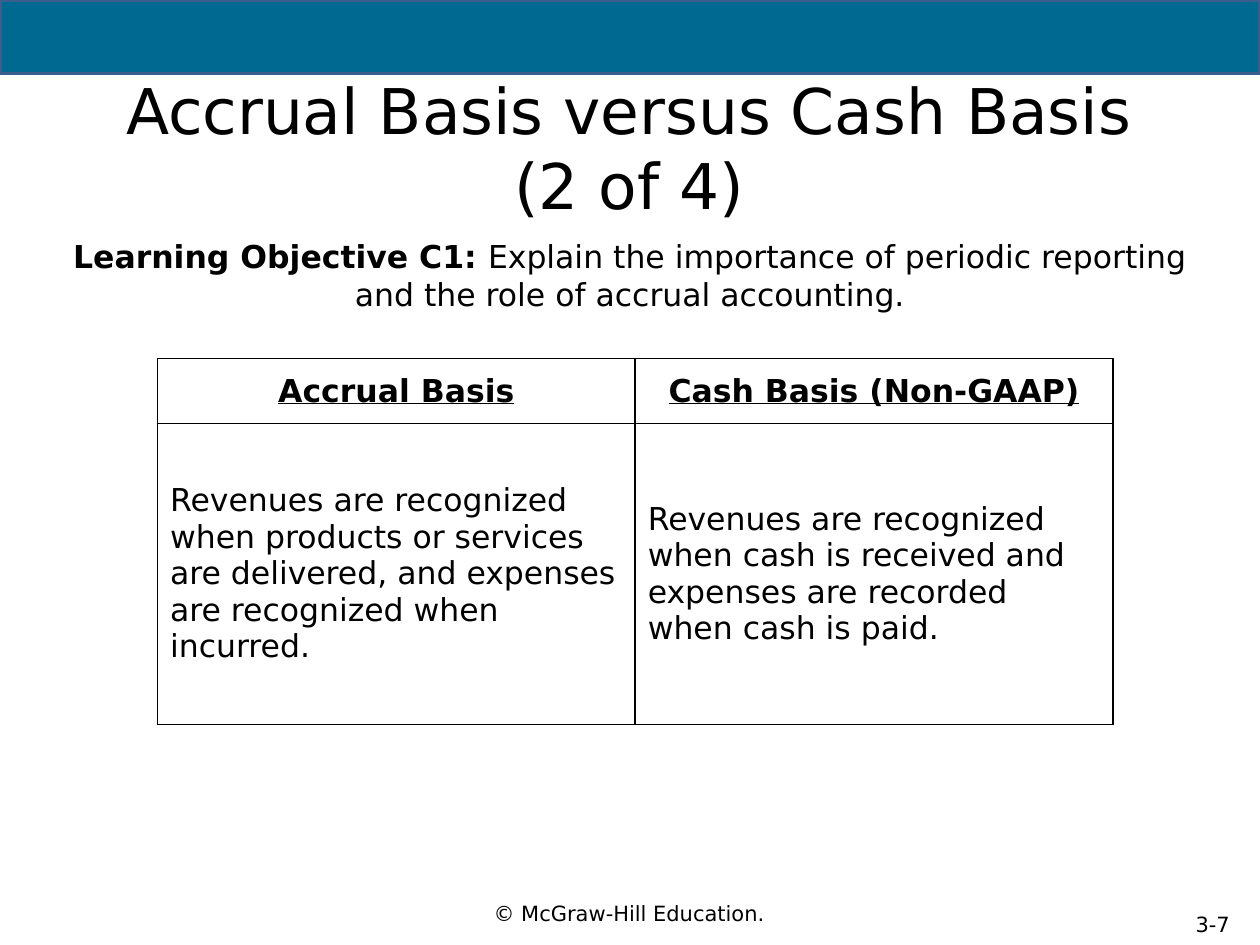
import pptx
import pptx.dml.color
import pptx.enum.shapes
import pptx.enum.text
import pptx.oxml
import pptx.oxml.ns
import pptx.util

Pt = pptx.util.Pt
ALIGN = pptx.enum.text.PP_ALIGN
MIDDLE = pptx.enum.text.MSO_ANCHOR.MIDDLE
TEAL = pptx.dml.color.RGBColor(0x00, 0x69, 0x91)
BLUE = pptx.dml.color.RGBColor(0x3A, 0x5F, 0x8C)
BLACK = pptx.dml.color.RGBColor(0, 0, 0)
FONT = "DejaVu Sans"


def add_span(para, text, size, bold=False, underline=False):
    span = para.add_run()
    span.text = text
    span.font.name = FONT
    span.font.size = Pt(size)
    span.font.bold = bold
    span.font.underline = underline
    span.font.color.rgb = BLACK


def place(box, left, top, width, height, anchor=MIDDLE):
    """Position a text box, set its frame, and return its centred first paragraph."""
    box.left, box.top, box.width, box.height = Pt(left), Pt(top), Pt(width), Pt(height)
    frame = box.text_frame
    frame.word_wrap = True
    frame.auto_size = pptx.enum.text.MSO_AUTO_SIZE.NONE
    frame.vertical_anchor = anchor
    para = frame.paragraphs[0]
    para.alignment = ALIGN.CENTER
    para.space_before = Pt(0)
    return para


deck = pptx.Presentation()
deck.slide_width, deck.slide_height = Pt(720), Pt(540)
page = deck.slides.add_slide(deck.slide_layouts[1])

# Top band
band = page.shapes.add_shape(
    pptx.enum.shapes.MSO_SHAPE.RECTANGLE, Pt(0), Pt(0), Pt(720), Pt(42))
band.shadow.inherit = False
band.fill.solid()
band.fill.fore_color.rgb = TEAL
band.line.color.rgb = BLUE
band.line.width = Pt(2)

# Title and learning objective
title_para = place(page.shapes.title, 42, 42, 635, 84)
add_span(title_para, "Accrual Basis versus Cash Basis (2 of 4)", 36)

objective_para = place(page.placeholders[1], 30, 132, 660, 48,
                       pptx.enum.text.MSO_ANCHOR.TOP)
properties = objective_para._p.get_or_add_pPr()
properties.set("marL", "0")
properties.set("indent", "0")
properties.append(pptx.oxml.parse_xml(
    f'<a:buNone {pptx.oxml.ns.nsdecls("a")}/>'))
add_span(objective_para, "Learning Objective C1: ", 18, bold=True)
add_span(objective_para, "Explain the importance of periodic reporting "
         "and the role of accrual accounting.", 18)

# Comparison table
rows = [
    ["Accrual Basis", "Cash Basis (Non-GAAP)"],
    ["Revenues are recognized when products or services are delivered, "
     "and expenses are recognized when incurred.",
     "Revenues are recognized when cash is received and expenses are "
     "recorded when cash is paid."],
]
table = page.shapes.add_table(2, 2, Pt(90), Pt(205), Pt(546), Pt(209)).table
table.rows[0].height, table.rows[1].height = Pt(37), Pt(172)
for row, texts in enumerate(rows):
    is_header = row == 0
    for column, text in enumerate(texts):
        cell = table.cell(row, column)
        cell.vertical_anchor = MIDDLE
        for side in ("lnL", "lnR", "lnT", "lnB"):
            cell._tc.get_or_add_tcPr().append(pptx.oxml.parse_xml(
                f'<a:{side} {pptx.oxml.ns.nsdecls("a")} w="{Pt(1)}">'
                f'<a:solidFill><a:srgbClr val="{BLACK}"/></a:solidFill></a:{side}>'))
        cell.fill.background()
        para = cell.text_frame.paragraphs[0]
        para.alignment = ALIGN.CENTER if is_header else ALIGN.LEFT
        add_span(para, text, 18, bold=is_header, underline=is_header)

# Footer
for text, bounds in [("© McGraw-Hill Education.", (68, 504, 583, 36)),
                     ("3-7", (666, 516, 54, 24))]:
    box = page.shapes.add_textbox(0, 0, 0, 0)
    add_span(place(box, *bounds), text, 12)

deck.save("out.pptx")
